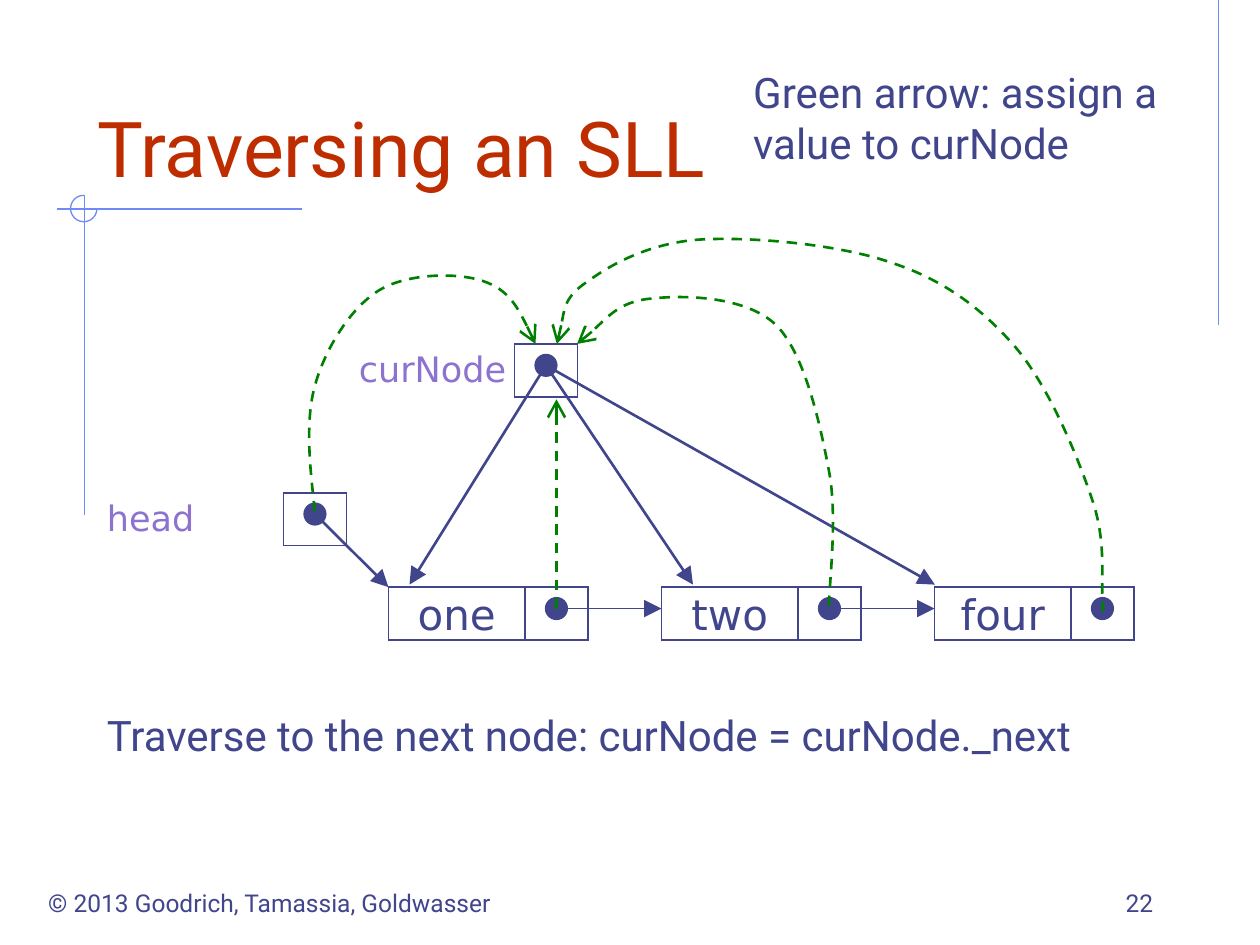
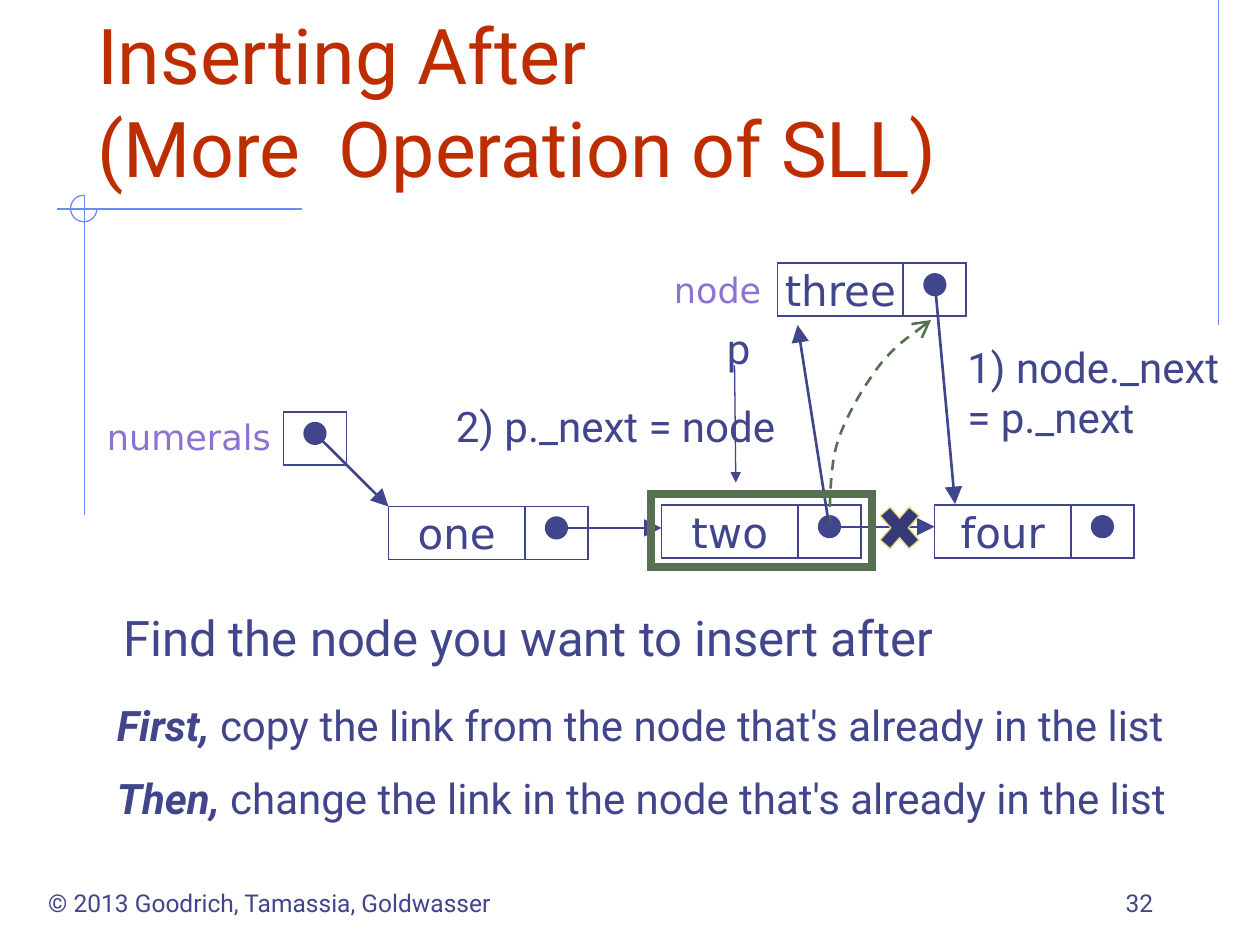
from lxml.etree import SubElement
from pptx import Presentation
from pptx.dml.color import RGBColor
from pptx.enum.dml import MSO_LINE
from pptx.enum.shapes import MSO_CONNECTOR, MSO_SHAPE as SHAPE
from pptx.enum.text import MSO_ANCHOR as ANCHOR, MSO_AUTO_SIZE, PP_ALIGN as ALIGN
from pptx.oxml.ns import qn
from pptx.util import Inches, Pt

COLORS = {
    "ink": "40458C", "title": "BE2D00", "label": "8C73D0", "rule": "6F89F7",
    "assign": "007F00", "highlight": "577052", "cross": "353A77", "cross_edge": "E9D57C",
}
TEXT_FONT, NODE_FONT = "Roboto", "DejaVu Sans"

FOOTER = "© 2013 Goodrich, Tamassia, Goldwasser"
RULES = [((9.67, 0), (9.67, 2.58)), ((2.4, 1.66), (0.45, 1.66)), ((0.67, 1.55), (0.67, 4.09))]

NODES = ["one", "two", "four"]
NODE_X, NODE_STEP = 37 / 12, 13 / 6
DATA_W, CELL_W, CELL_H = 13 / 12, 0.5, 0.42
DOT, DOT_DX, DOT_DY = 0.17, 0.25, 0.17      # dot size, and its centre within a cell
HEAD_X, HEAD_RISE = 2.25, 0.75

TRAVERSE = {
    "title": ["Traversing an SLL"],
    "number": "22",
    "head": "head",
    "node_tops": [4.66, 4.66, 4.66],
    "texts": [
        ((5.88, 0.48, 3.67, 0.9), 24, [("Green arrow: assign a value to curNode", False)]),
        ((0.75, 5.58, 8.5, 0.5), 24,
         [("Traverse to the next node: curNode = curNode._next", False)]),
    ],
}
CURRENT_CELL = (49 / 12, 2.73)
CURRENT_TARGETS = [(3.25, 4.64), (5.5, 4.64), (7.42, 4.64)]
# Bezier points: a start, then two controls and an end for each section
ASSIGN_CURVES = [
    [(2.5, 4.06), (2.46, 3.71), (2.42, 3.35), (2.5, 3.06), (2.58, 2.77), (2.78, 2.45),
     (3, 2.31), (3.22, 2.17), (3.62, 2.16), (3.83, 2.23), (4.04, 2.3), (4.15, 2.51),
     (4.25, 2.73)],
    [(6.58, 4.81), (6.58, 4.63), (6.65, 4.11), (6.58, 3.74), (6.51, 3.37), (6.39, 2.81),
     (6.16, 2.58), (5.92, 2.35), (5.43, 2.34), (5.17, 2.37), (4.91, 2.39), (4.7, 2.65),
     (4.58, 2.73)],
    [(8.75, 4.81), (8.75, 4.84), (8.76, 4.87), (8.75, 4.73), (8.74, 4.59), (8.78, 4.29),
     (8.67, 3.97), (8.56, 3.64), (8.34, 3.1), (8.08, 2.78), (7.82, 2.47), (7.51, 2.23),
     (7.09, 2.09), (6.67, 1.94), (5.99, 1.88), (5.58, 1.9), (5.18, 1.92), (4.86, 2.09),
     (4.67, 2.23), (4.47, 2.36), (4.47, 2.55), (4.42, 2.73)],
]

INSERT = {
    "title": ["Inserting After", "(More  Operation of SLL)"],
    "number": "32",
    "head": "numerals",
    "node_tops": [4.02, 4.01, 4.01],
    "texts": [
        ((0.88, 4.77, 8.08, 0.57), 28, [("Find the node you want to insert after", False)]),
        ((0.83, 5.5, 9, 0.9), 24,
         [("First, ", True), ("copy the link from the node that's already in the list", False)]),
        ((0.83, 6.08, 8.83, 0.9), 24,
         [("Then,", True), (" change the link in the node that's already in the list", False)]),
        ((7.58, 2.66, 2.34, 0.9), 24, [("1) node._next = p._next", False)]),
        ((3.52, 3.13, 2.96, 0.5), 24, [("2) p._next = node", False)]),
        ((5.67, 2.51, 0.79, 0.5), 24, [("p", False)]),
    ],
}
NEW_NODE = (6.17, 2.09)
NEW_LINK_CURVE = [(6.58, 4.17), (6.59, 4.06), (6.58, 3.71), (6.65, 3.5), (6.72, 3.29),
                  (6.86, 3.06), (6.98, 2.9), (7.11, 2.74), (7.3, 2.61), (7.39, 2.54)]
LINK_ARROWS = [((7.42, 2.25), (7.58, 4)), ((6.58, 4.17), (6.33, 2.58))]
P_ARROW = ((5.83, 2.9), (5.84, 3.83))
HIGHLIGHT_BOX = (5.17, 3.92, 1.75, 0.58)
CROSS_BOX = (6.92, 3.94, 0.44, 0.5)


def rgb(name):
    return RGBColor.from_string(COLORS[name])


def inches(values):
    return [Inches(v) for v in values]


def add_run(p, text, size, color="ink", font=TEXT_FONT, strong=False):
    r = p.add_run()
    r.text = text
    r.font.size, r.font.name = Pt(size), font
    r.font.bold = r.font.italic = strong
    r.font.color.rgb = rgb(color)


def add_text(slide, box, runs, size, color="ink", font=TEXT_FONT,
             align=ALIGN.LEFT, anchor=ANCHOR.TOP, wrap=True):
    """Add a text box; runs are (text, strong) pairs."""
    tf = slide.shapes.add_textbox(*inches(box)).text_frame
    tf.word_wrap, tf.vertical_anchor = wrap, anchor
    p = tf.paragraphs[0]
    p.alignment = align
    for text, strong in runs:
        add_run(p, text, size, color, font, strong)


def style_line(sp, color, width, dashed=False, head=None, head_size="lg"):
    sp.line.color.rgb = rgb(color)
    sp.line.width = Pt(width)
    if dashed:
        sp.line.dash_style = MSO_LINE.DASH
    ln = sp.element.spPr.find(qn("a:ln"))
    SubElement(ln, qn("a:miter"), lim="800000")
    if head:
        SubElement(ln, qn("a:tailEnd"), type=head, w=head_size, len=head_size)


def add_shape(slide, kind, box, line="ink", width=1, fill=None):
    sp = slide.shapes.add_shape(kind, *inches(box))
    sp.shadow.inherit = False
    if fill:
        sp.fill.solid()
        sp.fill.fore_color.rgb = rgb(fill)
    else:
        sp.fill.background()
    style_line(sp, line, width)
    return sp


def add_line(slide, start, end, color="ink", width=1.5, dashed=False,
             head="triangle", head_size="lg"):
    sp = slide.shapes.add_connector(MSO_CONNECTOR.STRAIGHT, *inches(start + end))
    style_line(sp, color, width, dashed, head, head_size)
    SubElement(sp.element.spPr, qn("a:effectLst"))


def add_curve(slide, points, color):
    """Add a dashed arrow along joined Bezier sections."""
    builder = slide.shapes.build_freeform(*inches(points[0]))
    builder.add_line_segments([inches(pt) for pt in points[1:]], close=False)
    sp = builder.convert_to_shape()
    outline = next(sp.element.iter(qn("a:path")))
    segments = outline.findall(qn("a:lnTo"))
    for i in range(0, len(segments), 3):
        section = SubElement(outline, qn("a:cubicBezTo"))
        for segment in segments[i:i + 3]:
            section.append(segment[0])
            outline.remove(segment)
    sp.shadow.inherit = False
    sp.fill.background()
    style_line(sp, color, 1.5, dashed=True, head="arrow")


def add_cell(slide, x, y):
    """Add a reference cell and return the centre of its dot."""
    cx, cy = x + DOT_DX, y + DOT_DY
    add_shape(slide, SHAPE.RECTANGLE, (x, y, CELL_W, CELL_H))
    add_shape(slide, SHAPE.OVAL, (cx - DOT / 2, cy - DOT / 2, DOT, DOT), fill="ink")
    return cx, cy


def add_node(slide, x, y, text, data_w=DATA_W):
    sp = add_shape(slide, SHAPE.RECTANGLE, (x, y, data_w, CELL_H))
    tf = sp.text_frame
    tf.word_wrap, tf.vertical_anchor = False, ANCHOR.MIDDLE
    tf.paragraphs[0].alignment = ALIGN.CENTER
    add_run(tf.paragraphs[0], text, 24, font=NODE_FONT)
    return add_cell(slide, x + data_w, y)


def add_label(slide, x, y, text, width=1.58):
    add_text(slide, (x, y, width, 0.44), [(text, False)], 20, "label", NODE_FONT)


def add_chain(slide, tops, head):
    """Draw the head cell and the linked nodes; return the dot centres of the nodes."""
    head_y = tops[0] - HEAD_RISE
    add_label(slide, 0.75, head_y - 0.02, head)
    add_line(slide, add_cell(slide, HEAD_X, head_y), (NODE_X, tops[0]))
    xs = [NODE_X + i * NODE_STEP for i in range(len(NODES))]
    dots = [add_node(slide, x, y, text) for x, y, text in zip(xs, tops, NODES)]
    for dot, next_x in zip(dots, xs[1:]):
        add_line(slide, dot, (next_x, dot[1]), width=1)
    return dots


def add_frame(prs, content):
    """Add a slide with the shared rules, title, footer and number, and its chain."""
    slide = prs.slides.add_slide(prs.slide_layouts[5])
    for start, end in RULES:
        add_line(slide, start, end, "rule", 0.75, head=None)
    arc = add_shape(slide, SHAPE.ARC, (0.56, 1.55, 0.21, 0.21), "rule", 0.75)
    arc.adjustments[0], arc.adjustments[1] = 0, 270 * 0.6

    title = slide.shapes.title
    title.left, title.top, title.width, title.height = inches((0.67, 0.33, 8.5, 1.25))
    tf = title.text_frame
    tf.auto_size, tf.vertical_anchor = MSO_AUTO_SIZE.NONE, ANCHOR.BOTTOM
    p = tf.paragraphs[0]
    p.alignment = ALIGN.LEFT
    for i, text in enumerate(content["title"]):
        if i:
            p.add_line_break()
        add_run(p, text, 44, "title")

    add_text(slide, (0.2, 7, 3.88, 0.34), [(FOOTER, False)], 14,
             align=ALIGN.CENTER, wrap=False)
    add_text(slide, (7.17, 6.83, 2.08, 0.5), [(content["number"], False)], 14,
             align=ALIGN.RIGHT, anchor=ANCHOR.BOTTOM)
    for box, size, runs in content["texts"]:
        add_text(slide, box, runs, size)
    return slide, add_chain(slide, content["node_tops"], content["head"])


def build_traverse(prs):
    slide, dots = add_frame(prs, TRAVERSE)
    x, y = CURRENT_CELL
    add_label(slide, 2.75, y - 0.02, "curNode")
    current = add_cell(slide, x, y)
    for target in CURRENT_TARGETS:
        add_line(slide, current, target)
    add_line(slide, dots[0], (dots[0][0], 3.17), "assign", dashed=True, head="arrow")
    for points in ASSIGN_CURVES:
        add_curve(slide, points, "assign")


def build_insert(prs):
    slide, _ = add_frame(prs, INSERT)
    x, y = NEW_NODE
    add_label(slide, 5.25, 2.08, "node", 0.92)
    add_node(slide, x, y, "three", 1)
    add_curve(slide, NEW_LINK_CURVE, "highlight")
    for start, end in LINK_ARROWS:
        add_line(slide, start, end)
    add_line(slide, *P_ARROW, width=0.75, head_size="med")
    add_shape(slide, SHAPE.RECTANGLE, HIGHLIGHT_BOX, "highlight", 4.5)
    add_shape(slide, SHAPE.MATH_MULTIPLY, CROSS_BOX, "cross_edge", 0.75, "cross")


def main():
    prs = Presentation()
    prs.slide_width, prs.slide_height = Inches(10), Inches(7.5)
    build_traverse(prs)
    build_insert(prs)
    prs.save("out.pptx")


if __name__ == "__main__":
    main()
